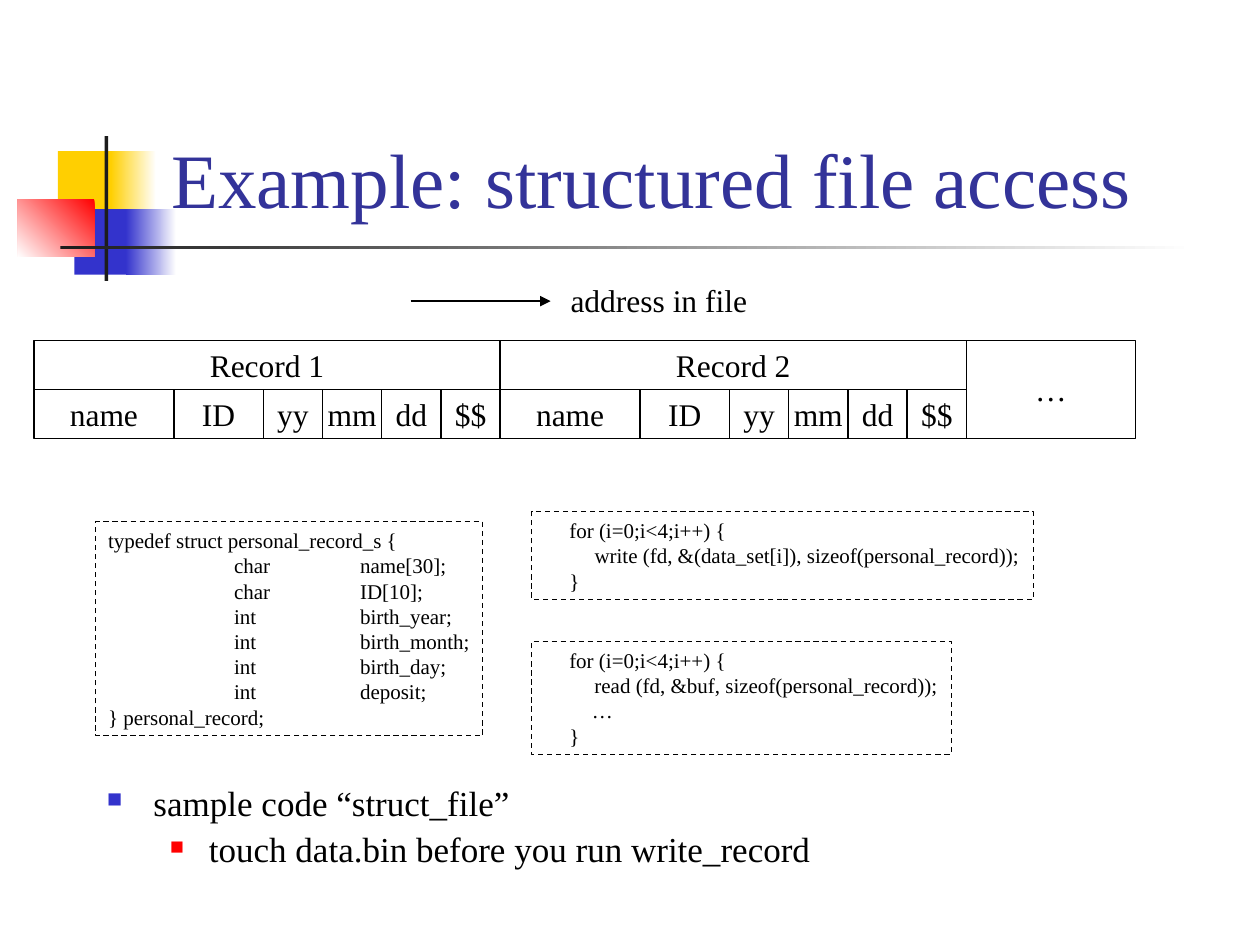
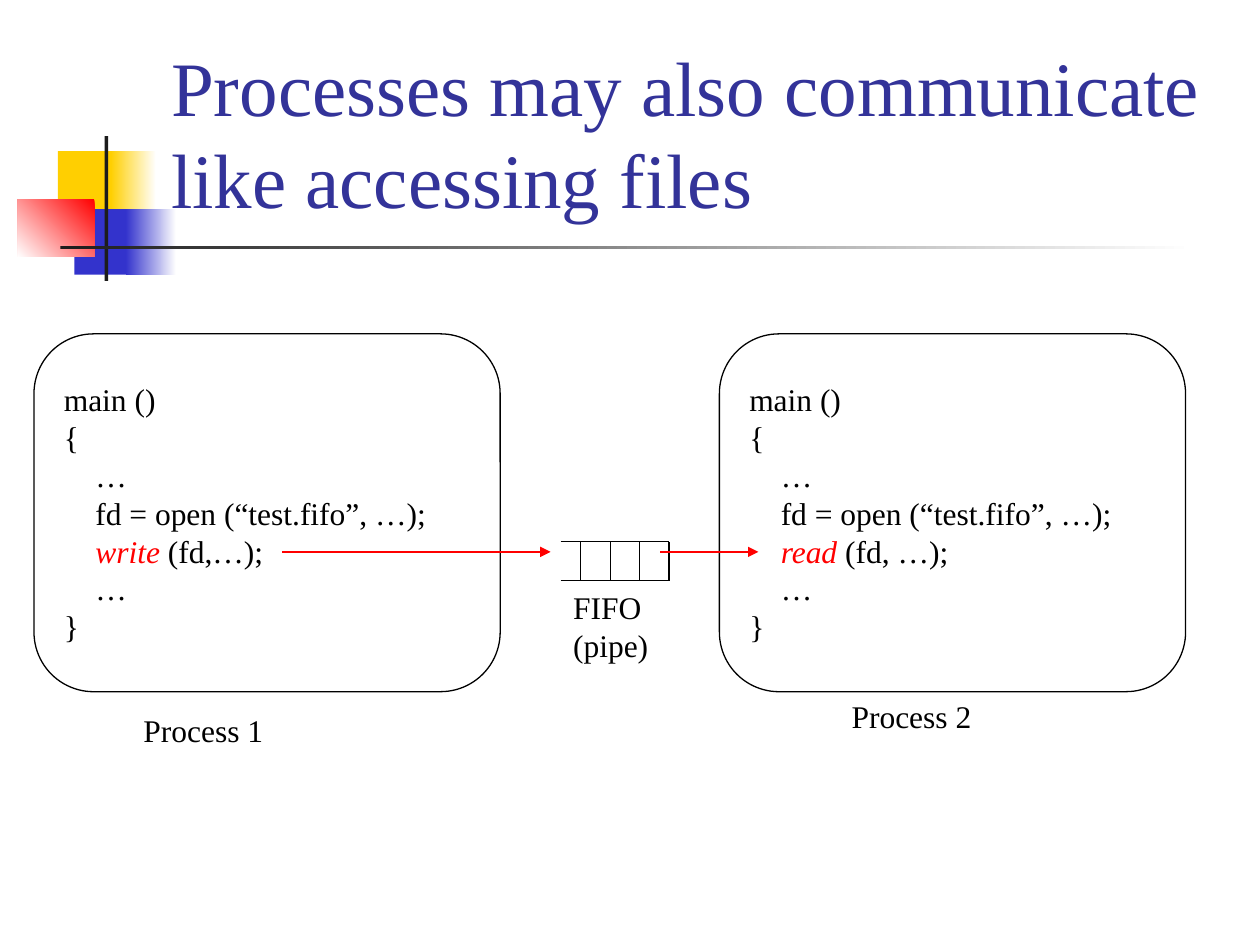
from dataclasses import dataclass
from itertools import accumulate

import lxml.etree
import pptx
import pptx.dml.color
import pptx.enum.dml
import pptx.enum.shapes
import pptx.enum.text
import pptx.oxml.ns
import pptx.util

Inches = pptx.util.Inches
Shape = pptx.enum.shapes.MSO_SHAPE
Anchor = pptx.enum.text.MSO_ANCHOR
Align = pptx.enum.text.PP_ALIGN


@dataclass(frozen=True)
class Theme:
    font: str = "Times New Roman"
    title: str = "333399"
    text: str = "000000"
    blue: str = "3333CC"
    yellow: str = "FFCF01"
    red: str = "FF0000"
    dark: str = "1C1C1C"
    white: str = "FFFFFF"
    title_size: int = 44
    bullet_size: int = 20
    label_size: int = 18
    code_size: int = 12
    line_width: float = 0.75


def rgb(color):
    return pptx.dml.color.RGBColor.from_string(color)


def add_element(parent, tag, **attributes):
    values = {name: str(value) for name, value in attributes.items()}
    return lxml.etree.SubElement(parent, pptx.oxml.ns.qn(tag), values)


class Deck:
    def __init__(self, theme):
        self.theme = theme
        self.presentation = pptx.Presentation()
        self.presentation.slide_width = Inches(10)
        self.presentation.slide_height = Inches(7.5)
        self.slide = None

    def new_slide(self, title):
        """Start a slide with the shared ornament and title."""
        theme = self.theme
        self.slide = self.presentation.slides.add_slide(
            self.presentation.slide_layouts[6])
        self.block(0.46, 1.2, 0.48, 0.52, theme.yellow)
        self.block(0.88, 1.2, 0.36, 0.52, theme.yellow, fade=0)
        self.block(0.59, 1.66, 0.46, 0.52, theme.blue)
        self.block(1, 1.66, 0.4, 0.52, theme.blue, fade=0)
        self.block(0.14, 1.58, 0.61, 0.46, theme.red, fade=225)
        self.block(0.83, 1.08, 0.03, 1.15, theme.dark)
        self.block(0.48, 1.95, 9, 0.03, theme.dark, fade=0)
        self.text(1.26, 0.23, 8.52, 1.6, [title], theme.title_size,
                  theme.title, Anchor.BOTTOM)

    def shape(self, kind, left, top, width, height):
        shape = self.slide.shapes.add_shape(
            kind, Inches(left), Inches(top), Inches(width), Inches(height))
        shape.shadow.inherit = False
        return shape

    def block(self, left, top, width, height, color, fade=None):
        """Solid block, or one that fades to white at the given angle."""
        shape = self.shape(Shape.RECTANGLE, left, top, width, height)
        shape.line.fill.background()
        if fade is None:
            shape.fill.solid()
            shape.fill.fore_color.rgb = rgb(color)
            return
        shape.fill.gradient()
        shape.fill.gradient_angle = fade
        for stop, stop_color in zip(shape.fill.gradient_stops,
                                    (color, self.theme.white)):
            stop.color.rgb = rgb(stop_color)

    def outline(self, kind, left, top, width, height, dashed=False):
        shape = self.shape(kind, left, top, width, height)
        shape.fill.background()
        shape.line.color.rgb = rgb(self.theme.text)
        shape.line.width = pptx.util.Pt(self.theme.line_width)
        if dashed:
            shape.line.dash_style = pptx.enum.dml.MSO_LINE.DASH
        return shape

    def set_lines(self, shape, lines, size, color=None, anchor=Anchor.TOP,
                  align=Align.LEFT, tabs=()):
        """Fill a shape; a line is text, or (indent, text or (keyword, rest))."""
        frame = shape.text_frame
        frame.word_wrap = align == Align.LEFT
        frame.vertical_anchor = anchor
        if align == Align.LEFT:
            frame.margin_right = 0
        for index, line in enumerate(lines):
            indent, content = (0, line) if isinstance(line, str) else line
            paragraph = frame.add_paragraph() if index else frame.paragraphs[0]
            paragraph.alignment = align
            properties = paragraph._p.get_or_add_pPr()
            properties.set("marL", str(Inches(indent)))
            if tabs:
                tab_list = add_element(properties, "a:tabLst")
                for stop in tabs:
                    add_element(tab_list, "a:tab", pos=Inches(stop), algn="l")
            font = paragraph.font
            font.name = self.theme.font
            font.size = pptx.util.Pt(size)
            font.color.rgb = rgb(color or self.theme.text)
            if isinstance(content, str):
                paragraph.add_run().text = content
                continue
            keyword, rest = (paragraph.add_run() for _ in content)
            keyword.text, rest.text = content
            keyword.font.italic = True
            keyword.font.color.rgb = rgb(self.theme.red)

    def text(self, left, top, width, height, lines, size=None, color=None,
             anchor=Anchor.TOP):
        box = self.slide.shapes.add_textbox(
            Inches(left), Inches(top), Inches(width), Inches(height))
        self.set_lines(box, lines, size or self.theme.label_size, color, anchor)
        return box

    def cell(self, left, top, width, height, label):
        shape = self.outline(Shape.RECTANGLE, left, top, width, height)
        self.set_lines(shape, [label], self.theme.label_size,
                       anchor=Anchor.MIDDLE, align=Align.CENTER)

    def code(self, left, top, width, height, lines, tabs=()):
        shape = self.outline(Shape.RECTANGLE, left, top, width, height, True)
        self.set_lines(shape, lines, self.theme.code_size, tabs=tabs)

    def bullets(self, left, top, width, height, items):
        """List of (text, margin, hang, bullet color, bullet percent)."""
        box = self.text(left, top, width, height, [item[0] for item in items],
                        self.theme.bullet_size)
        for paragraph, item in zip(box.text_frame.paragraphs, items):
            _, margin, hang, color, percent = item
            properties = paragraph._p.get_or_add_pPr()
            properties.set("marL", str(Inches(margin)))
            properties.set("indent", str(Inches(-hang)))
            # Bullet marks come before the font defaults in the paragraph
            defaults = properties[-1]
            bullet_color = add_element(properties, "a:buClr")
            add_element(bullet_color, "a:srgbClr", val=color)
            add_element(properties, "a:buSzPct", val=percent * 1000)
            add_element(properties, "a:buChar", char="■")
            properties.append(defaults)
            paragraph.line_spacing = 0.9
            paragraph.space_before = pptx.util.Pt(5)

    def line(self, start, end, color=None, arrow=False):
        connector = self.slide.shapes.add_connector(
            pptx.enum.shapes.MSO_CONNECTOR.STRAIGHT,
            *(Inches(value) for value in (*start, *end)))
        connector.line.color.rgb = rgb(color or self.theme.text)
        connector.line.width = pptx.util.Pt(self.theme.line_width)
        properties = connector._element.spPr
        if arrow:
            stroke = properties.find(pptx.oxml.ns.qn("a:ln"))
            add_element(stroke, "a:tailEnd", type="triangle")
        add_element(properties, "a:effectLst")


def structured_file_slide(deck):
    theme = deck.theme
    deck.new_slide("Example: structured file access")
    deck.bullets(0.75, 6.19, 8.5, 1.11, [
        ("sample code “struct_file”", 0.37, 0.37, theme.blue, 60),
        ("touch data.bin before you run write_record", 0.81, 0.31, theme.red, 55),
    ])

    # Records laid out side by side in the file
    fields = {"name": 1.11, "ID": 0.71, "yy": 0.47, "mm": 0.47, "dd": 0.47,
              "$$": 0.47}
    file_left, record_top, row, record_width = 0.27, 2.7, 0.39, 3.7
    for record in range(2):
        left = file_left + record * record_width
        field_lefts = accumulate(fields.values(), initial=left)
        for field_left, (name, width) in zip(field_lefts, fields.items()):
            deck.cell(field_left, record_top + row, width, row, name)
        deck.cell(left, record_top, record_width, row, f"Record {record + 1}")
    deck.cell(file_left + 2 * record_width, record_top, 1.34, 2 * row, "…")

    # Address direction
    deck.line((3.26, 2.39), (4.37, 2.39), arrow=True)
    deck.text(4.43, 2.18, 1.6, 0.4, ["address in file"])

    # Code boxes
    members = [("char", "name[30]"), ("char", "ID[10]"), ("int", "birth_year"),
               ("int", "birth_month"), ("int", "birth_day"), ("int", "deposit")]
    deck.code(0.76, 4.14, 3.07, 1.7, [
        "typedef struct personal_record_s {",
        *(f"\t{kind}\t{member};" for kind, member in members),
        "} personal_record;"], tabs=(1, 2))
    loop, close = (0.2, "for (i=0;i<4;i++) {"), (0.2, "}")
    deck.code(4.22, 4.06, 3.98, 0.7, [
        loop, (0.4, "write (fd, &(data_set[i]), sizeof(personal_record));"),
        close])
    deck.code(4.22, 5.09, 3.33, 0.9, [
        loop, (0.4, "read (fd, &buf, sizeof(personal_record));"),
        (0.38, "…"), close])


def pipe_slide(deck):
    theme = deck.theme
    deck.new_slide("Processes may also communicate like accessing files")

    # Two processes
    calls = [(0.27, ("write", " (fd,…);")), (5.71, ("read", " (fd, …);"))]
    for left, call in calls:
        process = deck.outline(Shape.ROUNDED_RECTANGLE, left, 2.65, 3.7, 2.84)
        deck.set_lines(process, [
            "main ()", "{", (0.25, "…"), (0.25, "fd = open (“test.fifo”, …);"),
            (0.25, call), (0.25, "…"), "}"],
            theme.label_size, anchor=Anchor.MIDDLE)

    # Queue, open on its left side
    queue_left, queue_right, queue_top, queue_bottom = 4.45, 5.31, 4.3, 4.61
    for y in (queue_top, queue_bottom):
        deck.line((queue_left, y), (queue_right, y))
    for slot in range(4):
        x = queue_right - slot * 0.7 / 3
        deck.line((x, queue_top), (x, queue_bottom))
    deck.text(4.45, 4.62, 0.79, 0.7, ["FIFO", "(pipe)"])

    # Data flow and process names
    for start, end in ((2.24, 4.37), (5.24, 6.02)):
        deck.line((start, 4.38), (end, 4.38), theme.red, arrow=True)
    deck.text(1.04, 5.59, 1.15, 0.4, ["Process 1"])
    deck.text(6.66, 5.48, 1.15, 0.4, ["Process 2"])


def main():
    deck = Deck(Theme())
    structured_file_slide(deck)
    pipe_slide(deck)
    deck.presentation.save("out.pptx")


if __name__ == "__main__":
    main()
